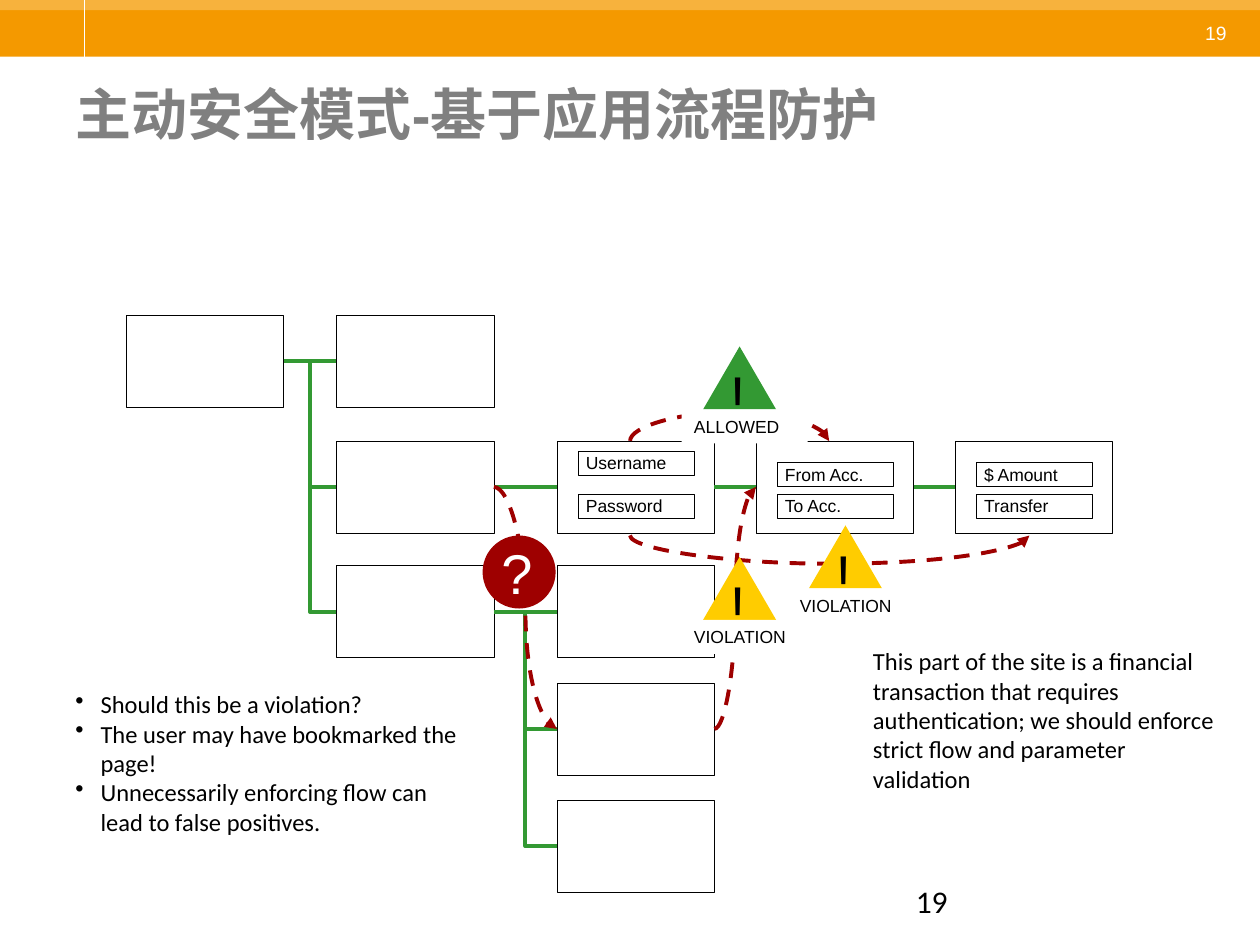
"""Build the slide on guarding the flow of an application."""
from lxml.etree import SubElement as Sub
from pptx import Presentation
from pptx.dml.color import RGBColor as Rgb
from pptx.enum.dml import MSO_LINE as Dash
from pptx.enum.shapes import MSO_CONNECTOR as Link, MSO_SHAPE as Kind
from pptx.enum.text import MSO_ANCHOR as Anchor, PP_ALIGN as Align
from pptx.oxml.ns import qn
from pptx.util import Emu, Inches, Pt

THEME = {
    "bar": "F49900", "strip": "F7B23D", "white": "FFFFFF", "black": "000000",
    "grey": "808080", "green": "339933", "red": "9E0000", "gold": "FFCC00",
    "head": 32, "mark": 32, "page": 18, "body": 14, "small": 11, "label": 10,
    "thin": 0.25, "rule": 0.75, "flow": 2.25, "sans": "Arial", "text": "Calibri",
}
WIDE, HIGH = 10, 7.5
COLS = (1, 2.67, 4.42, 6, 7.58)
ROWS = (2.5, 3.5, 4.49, 5.42, 6.35)
BOX_W, BOX_H = 1.25, 0.73
TRI_W, TRI_H = 0.58, 0.5
BOXES = [(0, 0), (1, 0), (1, 1), (1, 2), (2, 1), (3, 1), (4, 1),
         (2, 2), (2, 3), (2, 4)]
FLOWS = [((0, 0), (1, 0)), ((0, 0), (1, 1)), ((0, 0), (1, 2)),
         ((1, 1), (2, 1)), ((2, 1), (3, 1)), ((3, 1), (4, 1)),
         ((1, 2), (2, 2)), ((1, 2), (2, 3)), ((1, 2), (2, 4))]
JUMPS = [((1, 1), (2, 3)), ((2, 3), (3, 1))]
BOWS = [(5, 8.17, 4.25, 270, "flipH", 143), (5, 6.58, 3.5, 90, "flipV", -144)]
FIELDS = [("Username", 2, 0.08), ("Password", 2, 0.42),
          ("From Acc.", 3, 0.17), ("To Acc.", 3, 0.42),
          ("$ Amount", 4, 0.17), ("Transfer", 4, 0.42)]
MARKS = [("VIOLATION", 6.42, 4.17, "gold"), ("VIOLATION", 5.58, 4.42, "gold"),
         ("ALLOWED", 5.58, 2.75, "green")]
TITLE = "主动安全模式-基于应用流程防护"
PAGE = "19"
DOUBTS = ["Should this be a violation?",
          "The user may have bookmarked the page!",
          "Unnecessarily enforcing flow can lead to false positives."]
NOTE = ("This part of the site is a financial transaction that requires "
        "authentication; we should enforce strict flow and parameter validation")

deck = Presentation()
deck.slide_width, deck.slide_height = Inches(WIDE), Inches(HIGH)
page = deck.slides.add_slide(deck.slide_layouts[6])


def tint(name):
    return Rgb.from_string(THEME[name])


def apply(item, form):
    for name, value in form.items():
        setattr(item, name, value)


def shape(kind, at, fill=None, line=None):
    item = page.shapes.add_shape(kind, *map(Inches, at))
    item.shadow.inherit = False
    if fill:
        item.fill.solid()
        item.fill.fore_color.rgb = tint(fill)
    else:
        item.fill.background()
    if line:
        item.line.color.rgb = tint(line)
        item.line.width = Pt(THEME["thin"])
    else:
        item.line.fill.background()
    return item


def write(item, lines, size, font="sans", ink="black", bold=False,
          align=Align.LEFT, dots=False, **form):
    frame = item.text_frame
    apply(frame, {"word_wrap": True, "vertical_anchor": Anchor.TOP, **form})
    for num, line in enumerate(lines):
        para = frame.add_paragraph() if num else frame.paragraphs[0]
        para.alignment = align
        run = para.add_run()
        run.text = line
        apply(run.font, {"size": Pt(THEME[size]), "name": THEME[font], "bold": bold})
        run.font.color.rgb = tint(ink)
        if dots:
            props = para._p.get_or_add_pPr()
            props.set("marL", str(Inches(0.2)))
            props.set("indent", str(-Inches(0.2)))
            Sub(props, qn("a:buChar")).set("char", "•")


def text(at, lines, size, **form):
    write(page.shapes.add_textbox(*map(Inches, at)), lines, size, **form)


def link(kind, start, end, ink="green", width="flow", arrow=False):
    item = page.shapes.add_connector(kind, *map(Inches, (*start, *end)))
    item.line.color.rgb = tint(ink)
    item.line.width = Pt(THEME[width])
    if arrow:
        item.line.dash_style = Dash.DASH
        Sub(item.line._ln, qn("a:tailEnd")).set("type", "triangle")
    Sub(item._element.spPr, qn("a:effectLst"))
    return item


def ports(pair):
    (col, row), (to_col, to_row) = pair
    mid = BOX_H / 2
    return (COLS[col] + BOX_W, ROWS[row] + mid), (COLS[to_col], ROWS[to_row] + mid)


def bow(left, right, level, turn, flip, bend):
    span, mid = right - left, (left + right) / 2
    item = link(Link.CURVE, (mid, level - span / 2), (mid, level + span / 2),
                "red", arrow=True)
    item.width = Emu(1588)
    props = item._element.spPr
    frame = props.find(qn("a:xfrm"))
    frame.set("rot", str(turn * 60000))
    frame.set(flip, "1")
    guide = Sub(props.find(qn("a:prstGeom")).find(qn("a:avLst")), qn("a:gd"))
    guide.set("name", "adj1")
    guide.set("fmla", f"val {bend * 100000}")


def mark(word, left, top, fill):
    sign = shape(Kind.ISOSCELES_TRIANGLE, (left, top, TRI_W, TRI_H), fill)
    write(sign, ["!"], "mark", **SIGN)
    tag = shape(Kind.RECTANGLE, (left - 0.17, top + TRI_H, 1, 0.27), "white")
    write(tag, [word], "label")


SIGN = {"align": Align.RIGHT, "word_wrap": False, "vertical_anchor": Anchor.MIDDLE}
TIGHT = {"margin_left": Inches(0.06), "margin_right": Inches(0.06),
         "margin_top": Inches(0.01), "margin_bottom": Inches(0.01)}

shape(Kind.RECTANGLE, (0, 0, WIDE, 0.45), "bar")
shape(Kind.RECTANGLE, (0, 0, WIDE, 0.08), "strip")
link(Link.STRAIGHT, (0.67, 0), (0.67, 0.45), "white", "rule")
text((9.44, 0.12, 0.42, 0.29), [PAGE], "small", ink="white", align=Align.CENTER)
text((0.5, 0.58, 9, 0.88), [TITLE], "head", ink="grey", bold=True)
text((7.17, 6.95, 2.33, 0.4), [PAGE], "page", font="text")

for col, row in BOXES:
    shape(Kind.RECTANGLE, (COLS[col], ROWS[row], BOX_W, BOX_H), line="black")
for pair in FLOWS:
    level = pair[0][1] == pair[1][1]
    link(Link.STRAIGHT if level else Link.ELBOW, *ports(pair))
for pair in JUMPS:
    link(Link.CURVE, *ports(pair), "red", arrow=True)
for arc in BOWS:
    bow(*arc)
for word, col, drop in FIELDS:
    cell = shape(Kind.RECTANGLE, (COLS[col] + 0.17, ROWS[1] + drop, 0.92, 0.19),
                 line="black")
    write(cell, [word], "label", **TIGHT)
for sign in MARKS:
    mark(*sign)
doubt = shape(Kind.OVAL, (3.83, 4.25, 0.58, 0.58), "red")
write(doubt, ["?"], "mark", ink="white", **SIGN)
text((0.5, 5.42, 3.33, 1.26), DOUBTS, "body", font="text", dots=True)
text((6.83, 5.08, 2.92, 1.5), [NOTE], "body", font="text")

deck.save("out.pptx")
